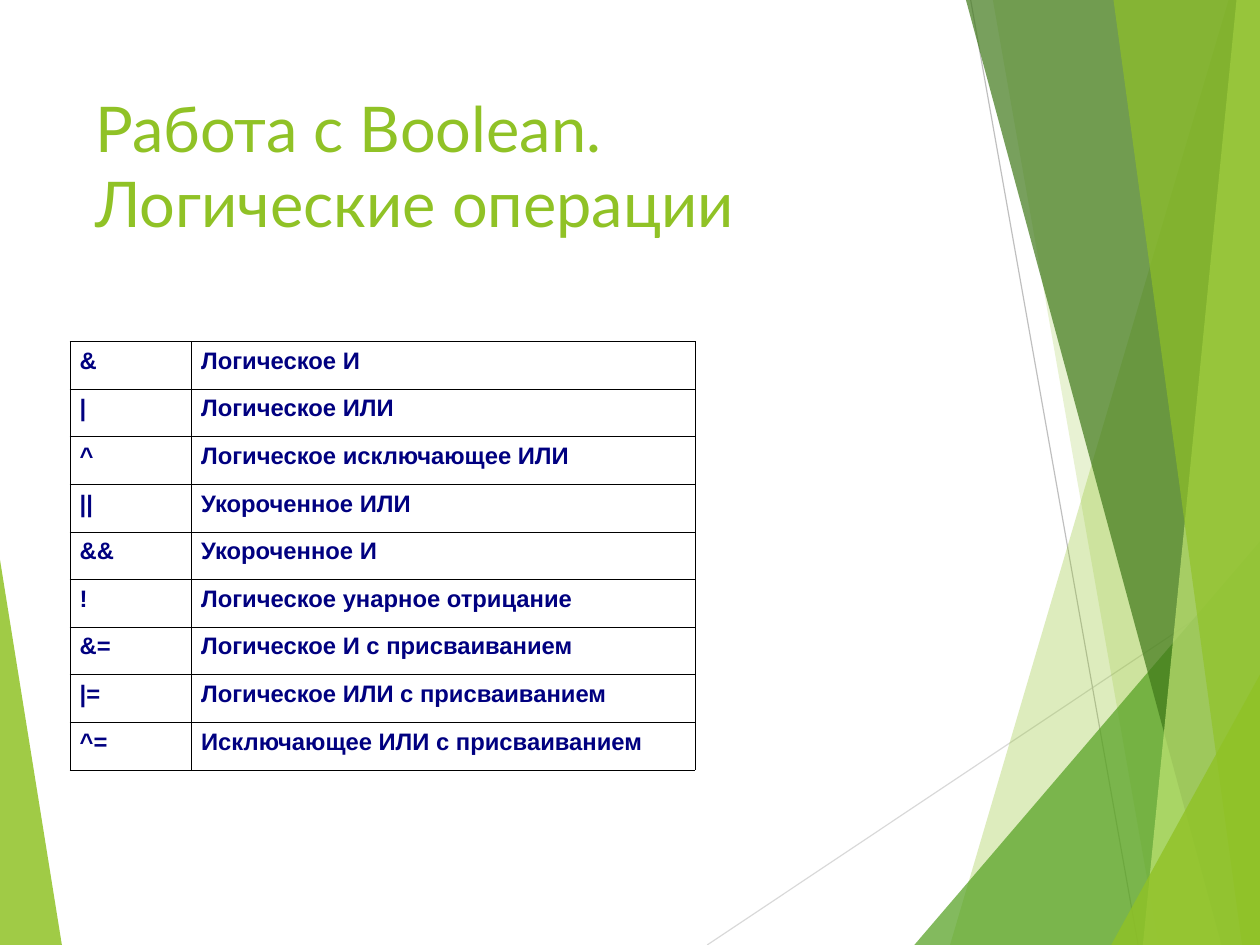
from lxml import etree
from pptx import Presentation
from pptx.dml.color import RGBColor
from pptx.enum import shapes, text
from pptx.oxml import ns
from pptx.util import Pt

COLORS = {
    "lime": "90C226",
    "green": "54A021",
    "forest": "3F7819",
    "pale": "C0E474",
    "silver": "BFBFBF",
    "light": "D9D9D9",
    "navy": "000080",
    "black": "000000",
}
WIDTH, HEIGHT = 793.75, 595.25


def add_facet(points, color, opacity):
    corners = [(Pt(x), Pt(y)) for x, y in points]
    builder = slide.shapes.build_freeform(*corners[0])
    builder.add_line_segments(corners[1:])
    shape = builder.convert_to_shape()
    shape.shadow.inherit = False
    shape.line.fill.background()
    shape.fill.solid()
    shape.fill.fore_color.rgb = RGBColor.from_string(COLORS[color])
    color_element = shape.element.spPr.find(".//" + ns.qn("a:srgbClr"))
    etree.SubElement(color_element, ns.qn("a:alpha"), val=str(opacity * 1000))


presentation = Presentation()
presentation.slide_width, presentation.slide_height = Pt(WIDTH), Pt(HEIGHT)
slide = presentation.slides.add_slide(presentation.slide_layouts[5])

add_facet([(0, 352.5), (39, HEIGHT), (0, HEIGHT)], "lime", 85)

for start, end, color in [
    ((445.5, HEIGHT), (795, 362), "light"),
    ((611.5, 0), (717, HEIGHT), "silver"),
]:
    line = slide.shapes.add_connector(
        shapes.MSO_CONNECTOR.STRAIGHT, *[Pt(value) for value in start + end]
    )
    line.line.width = Pt(0.75)
    line.line.color.rgb = RGBColor.from_string(COLORS[color])
    etree.SubElement(line.element.spPr, ns.qn("a:effectLst"))

for top_left, bottom_left, top_right, color, opacity in [
    ((774, 0), 598.5, 0, "lime", 30),
    ((625.5, 0), 730, 0, "lime", 20),
    ((WIDTH, 341), 576, 341, "green", 72),
    ((608.5, 0), 769.5, 0, "forest", 70),
    ((779, 0), 720, 0, "pale", 70),
    ((701.5, 0), 782.5, 0, "lime", 65),
    ((WIDTH, 425), 700, 425, "lime", 80),
]:
    points = [top_left, (bottom_left, HEIGHT), (WIDTH, HEIGHT), (WIDTH, top_right)]
    add_facet(points, color, opacity)

title = slide.shapes.title
title.left, title.top, title.width, title.height = Pt(52.75), Pt(52.5), Pt(551), Pt(114.5)
title_frame = title.text_frame
title_frame.text = "Работа с Boolean.\vЛогические операции"
title_frame.word_wrap = True
title_frame.auto_size = text.MSO_AUTO_SIZE.NONE
title_frame.vertical_anchor = text.MSO_ANCHOR.TOP
paragraph = title_frame.paragraphs[0]
paragraph.alignment = text.PP_ALIGN.LEFT
paragraph.font.name = "Lato"
paragraph.font.size = Pt(39.7)
paragraph.font.color.rgb = RGBColor.from_string(COLORS["lime"])

operations = [
    ("&", "Логическое И"),
    ("|", "Логическое ИЛИ"),
    ("^", "Логическое исключающее ИЛИ"),
    ("||", "Укороченное ИЛИ"),
    ("&&", "Укороченное И"),
    ("!", "Логическое унарное отрицание"),
    ("&=", "Логическое И с присваиванием "),
    ("|=", "Логическое ИЛИ с присваиванием"),
    ("^=", "Исключающее ИЛИ с присваиванием"),
]
column_widths = [76.5, 317.5]
row_height = 30
table = slide.shapes.add_table(
    len(operations), 2, Pt(44), Pt(215),
    Pt(sum(column_widths)), Pt(row_height * len(operations)),
).table
table.first_row = table.horz_banding = False
for column, width in zip(table.columns, column_widths):
    column.width = Pt(width)

for row, operation in zip(table.rows, operations):
    row.height = Pt(row_height)
    for cell, label in zip(row.cells, operation):
        cell.text = label
        cell.margin_left = cell.margin_right = cell.margin_top = Pt(6)
        cell.margin_bottom = Pt(3)
        cell.fill.background()
        paragraph = cell.text_frame.paragraphs[0]
        paragraph.line_spacing = 0.87
        paragraph.font.name = "Arial"
        paragraph.font.size = Pt(15)
        paragraph.font.bold = True
        paragraph.font.color.rgb = RGBColor.from_string(COLORS["navy"])
        paragraph_properties = paragraph._p.get_or_add_pPr()
        paragraph_properties.set("marL", str(Pt(27)))
        paragraph_properties.set("indent", str(Pt(-26.75)))
        cell_properties = cell._tc.get_or_add_tcPr()
        for position, side in enumerate(["lnL", "lnR", "lnT", "lnB"]):
            border = etree.Element(ns.qn("a:" + side), w=str(Pt(0.25)))
            border_fill = etree.SubElement(border, ns.qn("a:solidFill"))
            etree.SubElement(border_fill, ns.qn("a:srgbClr"), val=COLORS["black"])
            cell_properties.insert(position, border)

presentation.save("out.pptx")
